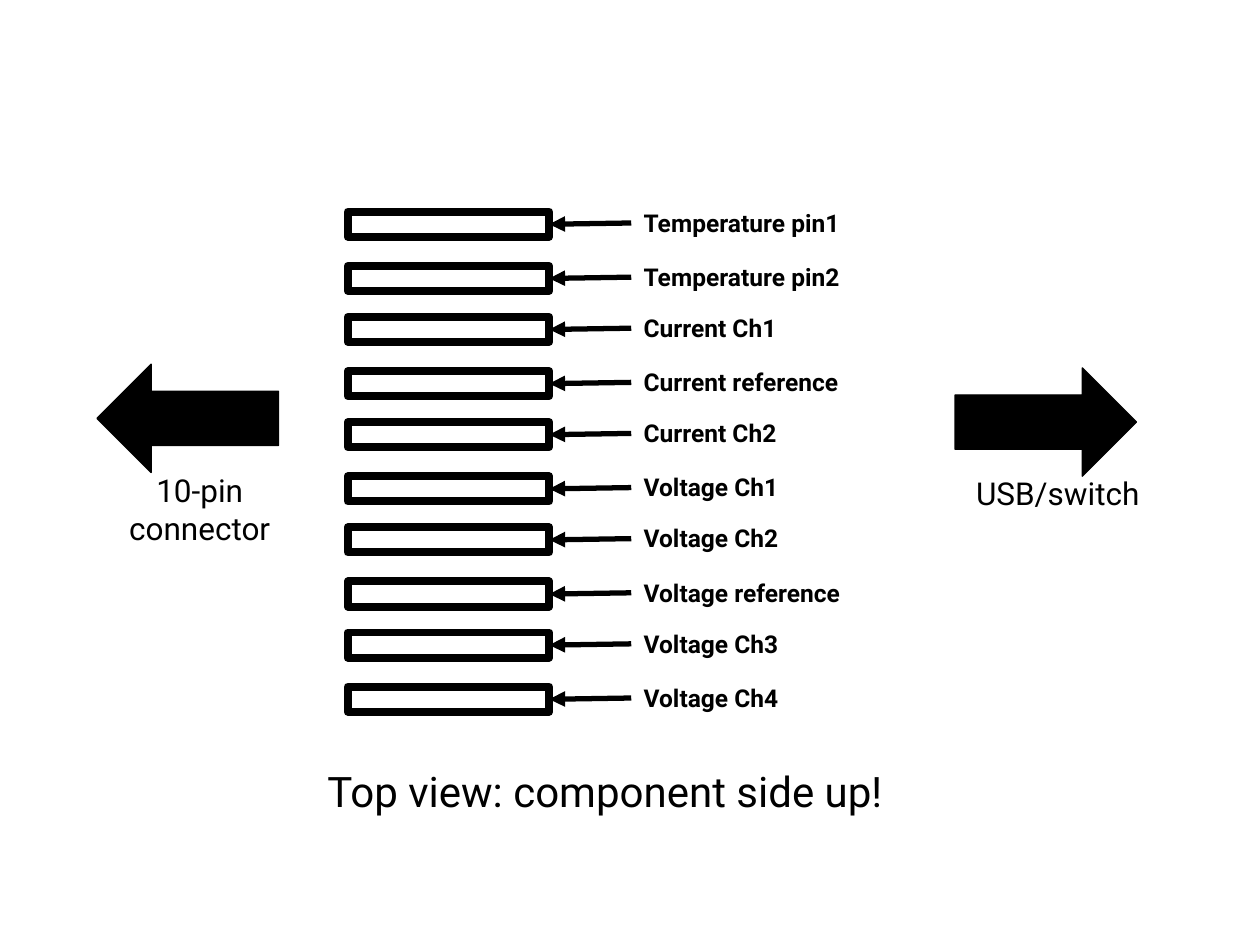
from pptx import Presentation
from pptx.dml.color import RGBColor
from pptx.enum.shapes import MSO_CONNECTOR as CONNECTOR, MSO_SHAPE as SHAPE
from pptx.enum.text import MSO_AUTO_SIZE as AUTO_SIZE, PP_ALIGN as ALIGN
from pptx.oxml.ns import qn
from pptx.util import Inches, Pt
from lxml.etree import SubElement

BLACK = RGBColor(0, 0, 0)
FONT = "Roboto"
PINS = [
    "Temperature pin1", "Temperature pin2",
    "Current Ch1", "Current reference", "Current Ch2",
    "Voltage Ch1", "Voltage Ch2", "Voltage reference",
    "Voltage Ch3", "Voltage Ch4",
]
PIN_PITCH = 0.43
PAIR_PITCH = 3.34 / 4


def add_label(page, text, left, top, width, height, size, bold=False, align=ALIGN.LEFT):
    """Add a wrapped one-paragraph text box."""
    box = page.shapes.add_textbox(Inches(left), Inches(top), Inches(width), Inches(height))
    frame = box.text_frame
    frame.text = text
    frame.word_wrap = True
    frame.auto_size = AUTO_SIZE.SHAPE_TO_FIT_TEXT
    para = frame.paragraphs[0]
    para.alignment = align
    font = para.runs[0].font
    font.name, font.size, font.bold = FONT, Pt(size), bold
    font.color.rgb = BLACK


def add_outlined(page, kind, left, top, width, height, weight):
    """Add an unfilled black-outlined shape and return it."""
    shape = page.shapes.add_shape(
        kind, Inches(left), Inches(top), Inches(width), Inches(height))
    shape.shadow.inherit = False
    shape.fill.background()
    shape.line.color.rgb = BLACK
    shape.line.width = Pt(weight)
    return shape


def add_pointer(page, start_x, start_y, end_x, end_y):
    """Add a line with a triangular head at its end."""
    line = page.shapes.add_connector(
        CONNECTOR.STRAIGHT, Inches(start_x), Inches(start_y), Inches(end_x), Inches(end_y))
    line.line.color.rgb = BLACK
    line.line.width = Pt(3)
    properties = line._element.spPr
    SubElement(properties.find(qn("a:ln")), qn("a:tailEnd"), type="triangle")
    SubElement(properties, qn("a:effectLst"))


def add_pin(page, text, left, top):
    """Add one pin with its pointer and name."""
    add_outlined(page, SHAPE.RECTANGLE, left, top, 1.6, 0.2, 4.5)
    add_pointer(page, left + 2.25, top + 0.09, left + 1.6, top + 0.1)
    add_label(page, text, left + 2.25, top - 0.08, 2.11, 0.34, 14, bold=True)


def add_pins(page, left, top):
    """Stack the pins in evenly spaced pairs."""
    for index, text in enumerate(PINS):
        pair, second = divmod(index, 2)
        add_pin(page, text, left, top + pair * PAIR_PITCH + second * PIN_PITCH)


def add_direction(page, text, left, top, label_top, label_height, rotation=0):
    """Add a block arrow with a centred caption beneath it."""
    arrow = add_outlined(page, SHAPE.RIGHT_ARROW, left, top, 1.44, 0.86, 0.75)
    arrow.fill.solid()
    arrow.fill.fore_color.rgb = BLACK
    arrow.rotation = rotation
    add_label(page, text, left - 0.04, label_top, 1.71, label_height, 18, align=ALIGN.CENTER)


def main():
    """Build the pin diagram and save it."""
    deck = Presentation()
    deck.slide_width, deck.slide_height = Inches(10), Inches(7.5)
    page = deck.slides.add_slide(deck.slide_layouts[6])
    add_pins(page, 2.76, 1.68)
    add_direction(page, "USB/switch", 7.58, 2.92, 3.71, 0.4)
    add_direction(page, "10-pin connector", 0.77, 2.89, 3.69, 0.71, rotation=180)
    add_label(page, "Top view: component side up!", 2.5, 6.03, 4.71, 0.5, 24)
    deck.save("out.pptx")


if __name__ == "__main__":
    main()
